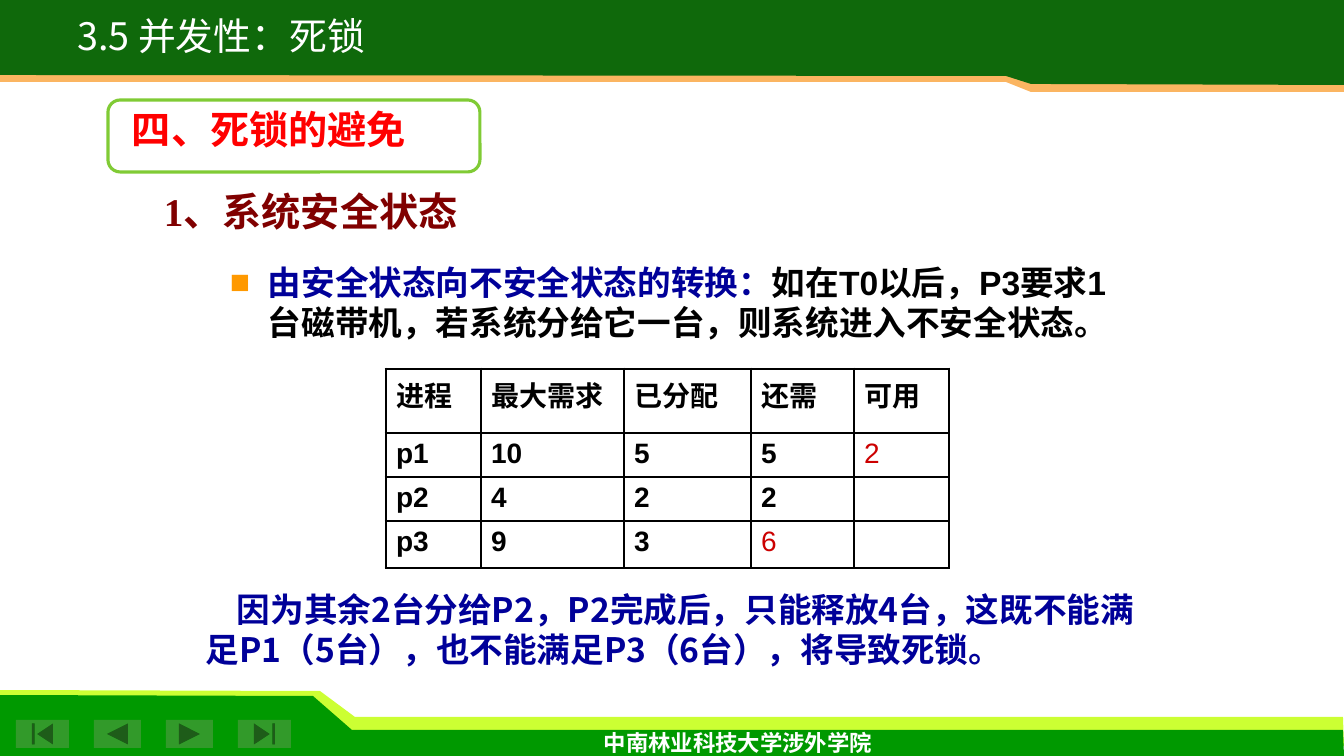
from pptx import Presentation, util as u
from pptx.dml.color import RGBColor
from pptx.enum import shapes as kinds, text as t
from pptx.oxml import parse_xml
from pptx.oxml.ns import nsdecls, qn

PX = 914400 / 100.8
SANS, ROMAN, CJK = "Arial", "Times New Roman", "Noto Sans CJK SC"

BANDS = [
    ("CCFF33", [(0, 746), (1344, 746), (1343, 717), (355, 717), (320, 691), (0, 690)]),
    ("009900", [(0, 756), (1344, 756), (1343, 730), (352, 730), (313, 696), (0, 695)]),
    ("FBB561", [(1344, 0), (0, 0), (0, 82), (1006, 82), (1031, 92), (1344, 92)]),
    ("0F690B", [(1344, 0), (0, 0), (0, 75), (1006, 76), (1031, 84), (1344, 85)]),
]
KIND = kinds.MSO_SHAPE
BUTTONS = [
    (KIND.ACTION_BUTTON_BEGINNING, 16, 53),
    (KIND.ACTION_BUTTON_BACK_OR_PREVIOUS, 94, 47),
    (KIND.ACTION_BUTTON_FORWARD_OR_NEXT, 166, 47),
    (KIND.ACTION_BUTTON_END, 238, 53),
]
TITLE = ("3.5 并发性：死锁", 27, CJK, "FFFFFF", False)
SCHOOL = ("中南林业科技大学涉外学院", 16, "Karla", "FFFFFF", True)
TOPIC = ("四、死锁的避免", 28, ROMAN, "FF0000", True)
POINT = ("1、系统安全状态", 28, ROMAN, "800000", True)
SHIFT = [
    ("由安全状态向不安全状态的转换：", 24, SANS, "000099", True),
    ("如在T0以后，P3要求1台磁带机，若系统分给它一台，则系统进入不安全状态。", 24, SANS, "000000", True),
]
REASON = (
    "因为其余2台分给P2，P2完成后，只能释放4台，这既不能满足P1（5台），也不能满足P3（6台），将导致死锁。",
    24, CJK, "000099", True)
COLS, ROWS = [95, 143, 127, 103, 95], [64, 44, 44, 47]
GRID = [
    ["进程", "最大需求", "已分配", "还需", "可用"],
    ["p1", "10", "5", "5", "2"],
    ["p2", "4", "2", "2", ""],
    ["p3", "9", "3", "6", ""],
]
RED = {(1, 4), (3, 3)}


def px(n):
    return u.Emu(round(n * PX))


def rgb(code):
    return RGBColor.from_string(code)


def paint(shape, fill, line=None):
    shape.shadow.inherit = False
    shape.fill.solid()
    shape.fill.fore_color.rgb = rgb(fill)
    if line:
        shape.line.color.rgb = rgb(line)
        shape.line.width = u.Pt(2.25)
    else:
        shape.line.fill.background()


def write(para, words, size, face, color, bold):
    run = para.add_run()
    run.text = words
    font = run.font
    font.size, font.name, font.bold = u.Pt(size), face, bold
    font.color.rgb = rgb(color)
    east = parse_xml(f'<a:ea {nsdecls("a")} typeface="{CJK}"/>')
    run._r.rPr.find(qn("a:latin")).addnext(east)


def label(slide, box, runs, wrap=True, gap=None):
    frame = slide.shapes.add_textbox(*map(px, box)).text_frame
    frame.word_wrap = wrap
    para = frame.paragraphs[0]
    for run in runs:
        write(para, *run)
    if gap:
        para.line_spacing = gap
    return para


def bullet(para):
    props = para._p.get_or_add_pPr()
    props.set("marL", str(px(38)))
    props.set("indent", str(px(-38)))
    for xml in ('<a:buClr {}><a:srgbClr val="FF9900"/></a:buClr>',
                '<a:buFont {} typeface="Arial"/>',
                '<a:buChar {} char="■"/>'):
        props.append(parse_xml(xml.format(nsdecls("a"))))


def border(cell):
    props = cell._tc.get_or_add_tcPr()
    for i, side in enumerate("LRTB"):
        props.insert(i, parse_xml(
            f'<a:ln{side} {nsdecls("a")} w="{u.Pt(2.25)}"><a:solidFill>'
            f'<a:srgbClr val="000000"/></a:solidFill></a:ln{side}>'))


def grid(slide):
    box = map(px, (386, 369, sum(COLS), sum(ROWS)))
    table = slide.shapes.add_table(len(ROWS), len(COLS), *box).table
    table.first_row = table.horz_banding = False
    for col, w in zip(table.columns, COLS):
        col.width = px(w)
    for r, (row, h) in enumerate(zip(GRID, ROWS)):
        table.rows[r].height = px(h)
        for c, words in enumerate(row):
            cell = table.cell(r, c)
            cell.fill.background()
            border(cell)
            if words:
                red = (r, c) in RED
                write(cell.text_frame.paragraphs[0], words, 20, SANS,
                      "CC0000" if red else "000000", not red)


def head(slide):
    title = slide.shapes.title
    title.left, title.top, title.width, title.height = map(px, (45, 16, 352, 47))
    title._element.getparent().append(title._element)
    frame = title.text_frame
    frame.word_wrap = False
    frame.auto_size = t.MSO_AUTO_SIZE.NONE
    frame.vertical_anchor = t.MSO_ANCHOR.TOP
    para = frame.paragraphs[0]
    para.alignment = t.PP_ALIGN.CENTER
    para.line_spacing = 0.8
    write(para, *TITLE)


def main():
    """Build the deadlock avoidance slide."""
    deck = Presentation()
    deck.slide_width, deck.slide_height = px(1344), px(756)
    slide = deck.slides.add_slide(deck.slide_layouts[5])
    for color, pts in BANDS:
        form = slide.shapes.build_freeform(*pts[0], scale=PX)
        form.add_line_segments(pts[1:])
        paint(form.convert_to_shape(), color)
    for kind, x, w in BUTTONS:
        paint(slide.shapes.add_shape(kind, *map(px, (x, 720, w, 28))), "329A2A")
    label(slide, (594, 724, 291, 37), [SCHOOL], False)
    bullet(label(slide, (220, 257, 905, 88), SHIFT))
    grid(slide)
    reason = label(slide, (196, 584, 949, 92), [REASON])
    reason._p.get_or_add_pPr().set("indent", str(px(31)))
    frame = slide.shapes.add_shape(KIND.ROUNDED_RECTANGLE, *map(px, (108, 100, 372, 72)))
    frame.adjustments[0] = 0.17
    paint(frame, "FFFFFF", "80CB35")
    label(slide, (122, 109, 366, 48), [TOPIC], gap=0.8)
    label(slide, (154, 191, 342, 48), [POINT], gap=0.8)
    head(slide)
    deck.save("out.pptx")


if __name__ == "__main__":
    main()
